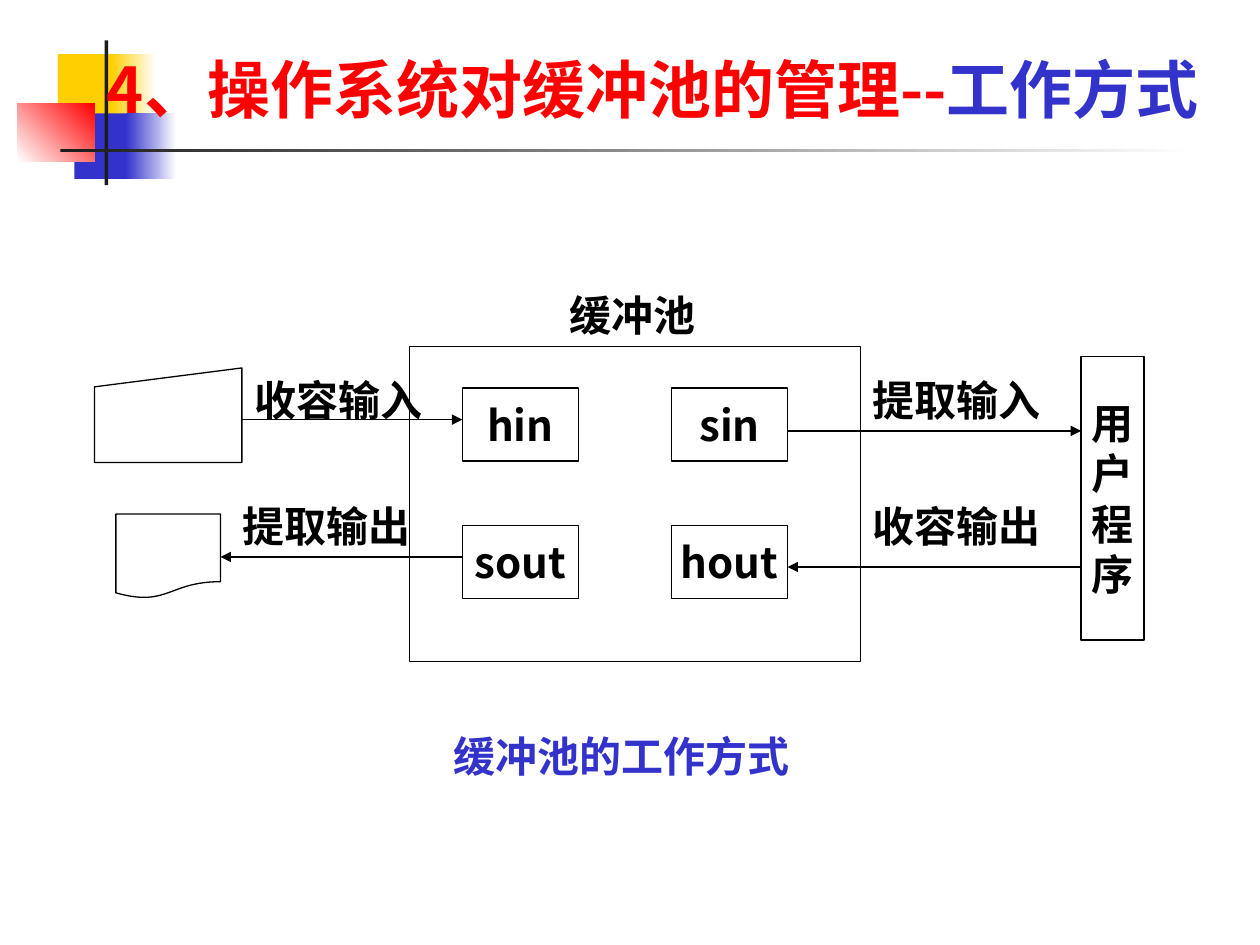
from pptx import Presentation
from pptx.dml.color import RGBColor
from pptx.enum import shapes, text
from pptx.oxml import ns
from pptx.util import Inches, Pt
from lxml import etree

FONT = "Noto Sans CJK SC"
COLORS = {
    "black": "000000", "white": "FFFFFF", "red": "FF0000",
    "blue": "3333CC", "yellow": "FFCF01", "dark": "1C1C1C",
}
KIND = shapes.MSO_SHAPE


def rgb(name):
    return RGBColor.from_string(COLORS[name])


def style_font(font, size, color):
    """Bold font, named for Latin and East Asian letters alike."""
    font.size, font.bold, font.name = Pt(size), True, FONT
    font.color.rgb = rgb(color)
    latin = font._element.find(ns.qn("a:latin"))
    east_asian = etree.Element(ns.qn("a:ea"), typeface=FONT)
    latin.addnext(east_asian)


def add_block(slide, box, fill, fade_to=None, angle=0):
    """Borderless rectangle, plain or fading to a second colour."""
    block = slide.shapes.add_shape(KIND.RECTANGLE, *map(Inches, box))
    block.shadow.inherit = False
    block.line.fill.background()
    if fade_to:
        block.fill.gradient()
        block.fill.gradient_angle = angle
        for stop, color in zip(block.fill.gradient_stops, (fill, fade_to)):
            stop.color.rgb = rgb(color)
            stop.position = 0 if color == fill else 1
    else:
        block.fill.solid()
        block.fill.fore_color.rgb = rgb(fill)


def add_node(slide, box, label="", kind=KIND.RECTANGLE):
    """Outlined white shape with a centred label."""
    node = slide.shapes.add_shape(kind, *map(Inches, box))
    node.shadow.inherit = False
    node.fill.solid()
    node.fill.fore_color.rgb = rgb("white")
    node.line.color.rgb = rgb("black")
    node.line.width = Pt(0.75)
    if label:
        frame = node.text_frame
        frame.word_wrap = False
        frame.vertical_anchor = text.MSO_ANCHOR.MIDDLE
        frame.text = label
        for paragraph in frame.paragraphs:
            paragraph.alignment = text.PP_ALIGN.CENTER
            style_font(paragraph.font, 24, "black")


def add_arrow(slide, start_x, end_x, y):
    arrow = slide.shapes.add_connector(
        shapes.MSO_CONNECTOR.STRAIGHT,
        Inches(start_x), Inches(y), Inches(end_x), Inches(y))
    arrow.line.color.rgb = rgb("black")
    arrow.line.width = Pt(0.75)
    etree.SubElement(arrow.line._get_or_add_ln(), ns.qn("a:tailEnd"), type="triangle")
    etree.SubElement(arrow._element.spPr, ns.qn("a:effectLst"))


def add_label(slide, left, top, width, label, color="black"):
    caption = slide.shapes.add_textbox(*map(Inches, (left, top, width, 0.5)))
    caption.text_frame.word_wrap = True
    paragraph = caption.text_frame.paragraphs[0]
    paragraph.text = label
    paragraph.space_before = Pt(15)
    style_font(paragraph.font, 24, color)


def add_title(slide, parts):
    title = slide.shapes.add_textbox(*map(Inches, (0.75, 0.28, 9.25, 0.77)))
    title.text_frame.word_wrap = True
    title.text_frame.vertical_anchor = text.MSO_ANCHOR.BOTTOM
    for wording, color in parts:
        run = title.text_frame.paragraphs[0].add_run()
        run.text = wording
        style_font(run.font, 36, color)


def add_decoration(slide):
    add_block(slide, (0.46, 0.43, 0.48, 0.52), "yellow")
    add_block(slide, (0.88, 0.43, 0.36, 0.52), "yellow", "white")
    add_block(slide, (0.59, 0.9, 0.46, 0.52), "blue")
    add_block(slide, (1, 0.9, 0.4, 0.52), "blue", "white")
    add_block(slide, (0.14, 0.82, 0.61, 0.46), "white", "red", angle=45)
    add_block(slide, (0.83, 0.32, 0.03, 1.15), "dark")
    add_block(slide, (0.48, 1.18, 9, 0.03), "dark", "white")


def main():
    prs = Presentation()
    prs.slide_width, prs.slide_height = Inches(10), Inches(7.5)
    slide = prs.slides.add_slide(prs.slide_layouts[6])

    # Heading
    add_decoration(slide)
    add_title(slide, [("4、操作系统对缓冲池的管理--", "red"), ("工作方式", "blue")])

    # Input and output devices, user program
    add_node(slide, (0.75, 2.92, 1.17, 0.75), kind=KIND.FLOWCHART_MANUAL_INPUT)
    add_node(slide, (0.92, 4.08, 0.83, 0.67), kind=KIND.FLOWCHART_DOCUMENT)
    add_node(slide, (8.58, 2.83, 0.5, 2.25), "用\n户\n程\n序")

    # Buffer pool with its four buffers
    add_node(slide, (3.25, 2.75, 3.58, 2.5))
    for top, row in ((3.08, ("hin", "sin")), (4.17, ("sout", "hout"))):
        for left, buffer_name in zip((3.67, 5.33), row):
            add_node(slide, (left, top, 0.92, 0.58), buffer_name)

    # Data flows
    for start_x, end_x, y in ((1.92, 3.67, 3.33), (3.67, 1.75, 4.42),
                              (6.25, 8.58, 3.42), (8.58, 6.25, 4.5)):
        add_arrow(slide, start_x, end_x, y)

    # Captions
    add_label(slide, 4.42, 2.25, 1.42, "缓冲池")
    for left, top, flow in ((6.83, 2.92, "提取输入"), (6.83, 3.92, "收容输出"),
                            (1.83, 3.92, "提取输出"), (1.92, 2.92, "收容输入")):
        add_label(slide, left, top, 1.75, flow)
    add_label(slide, 3.5, 5.75, 3.25, "缓冲池的工作方式", "blue")

    prs.save("out.pptx")


if __name__ == "__main__":
    main()
